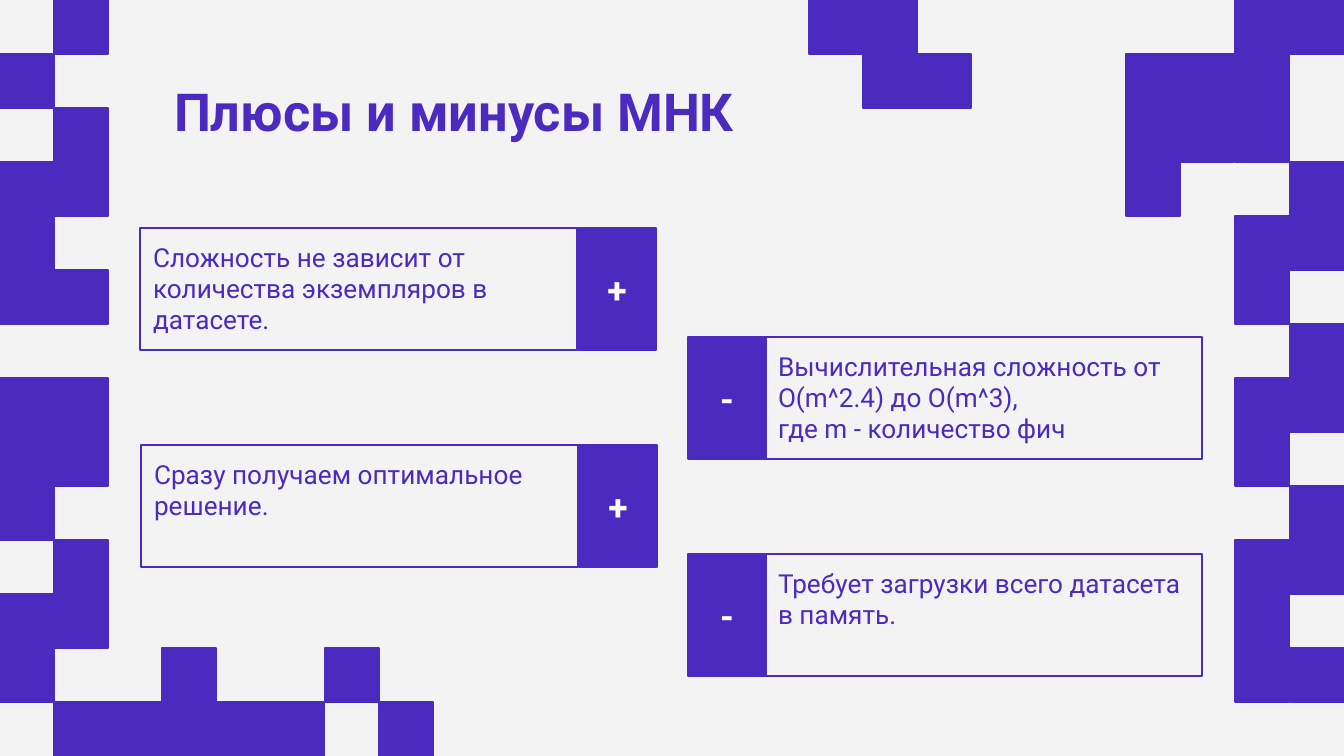
from dataclasses import dataclass

import pptx
import pptx.dml.color
import pptx.enum.shapes
import pptx.enum.text
import pptx.util

EMU_PER_PX = 914400 / 134.4
PURPLE = pptx.dml.color.RGBColor(0x4A, 0x2A, 0xBF)
WHITE = pptx.dml.color.RGBColor(0xFF, 0xFF, 0xFF)
PAPER = pptx.dml.color.RGBColor(0xF3, 0xF3, 0xF3)
FONT = "Roboto"
INSET = 13
TILE = 54
CARD_W, SIGN_W, CARD_H = 437, 78, 122


@dataclass
class Mosaic:
    x: int
    pitch: float
    rows: list[str]


@dataclass
class Card:
    text_x: int
    sign_x: int
    y: int
    sign: str
    lines: list[str]


MOSAICS = [
    Mosaic(0, 54.1, [
        ".#", "#.", ".#", "##", "#.", "##", "..", "##", "##", "#.", ".#", "##",
        "#..#..#.", ".#####.#",
    ]),
    Mosaic(809, 54, ["##.", ".##"]),
    Mosaic(1126, 54.5, [
        "..##", "###.", "###.", "#..#", "..##", "..#.", "...#", "..##", "..#.",
        "...#", "..##", "..#.", "..##",
    ]),
]

CARDS = [
    Card(140, 578, 228, "+",
         ["Сложность не зависит от количества экземпляров в датасете."]),
    Card(141, 579, 445, "+", ["Сразу получаем оптимальное решение."]),
    Card(765, 688, 337, "-",
         ["Вычислительная сложность от O(m^2.4) до O(m^3),", "где m - количество фич"]),
    Card(765, 688, 554, "-", ["Требует загрузки всего датасета в память."]),
]


def px(n: float) -> pptx.util.Emu:
    return pptx.util.Emu(round(n * EMU_PER_PX))


def add_box(s, x: int, y: int, w: int, h: int, filled: bool):
    sp = s.shapes.add_shape(
        pptx.enum.shapes.MSO_SHAPE.RECTANGLE, px(x), px(y), px(w), px(h))
    sp.shadow.inherit = False
    if filled:
        sp.fill.solid()
        sp.fill.fore_color.rgb = PURPLE
    else:
        sp.fill.background()
    sp.line.color.rgb = PURPLE
    sp.line.width = pptx.util.Pt(0.75)
    return sp


def write(sp, lines: list[str], size: int, color, bold: bool = False,
          align=pptx.enum.text.PP_ALIGN.LEFT,
          anchor=pptx.enum.text.MSO_ANCHOR.TOP) -> None:
    tf = sp.text_frame
    tf.word_wrap = True
    tf.vertical_anchor = anchor
    tf.margin_left = tf.margin_right = tf.margin_top = tf.margin_bottom = px(INSET)
    for i, line in enumerate(lines):
        p = tf.add_paragraph() if i else tf.paragraphs[0]
        p.alignment = align
        r = p.add_run()
        r.text = line
        r.font.name = FONT
        r.font.size = pptx.util.Pt(size)
        r.font.bold = bold
        r.font.color.rgb = color


def draw_mosaic(s, mosaic: Mosaic) -> None:
    """Draw one tile for every # in the rows, which start at the slide's top."""
    for row, marks in enumerate(mosaic.rows):
        for col, mark in enumerate(marks):
            if mark == "#":
                x = mosaic.x + round(col * mosaic.pitch)
                add_box(s, x, row * TILE, TILE, TILE, filled=True)


def draw_card(s, card: Card) -> None:
    text_box = add_box(s, card.text_x, card.y, CARD_W, CARD_H, filled=False)
    write(text_box, card.lines, 14, PURPLE)
    sign_box = add_box(s, card.sign_x, card.y, SIGN_W, CARD_H, filled=True)
    write(sign_box, [card.sign], 19, WHITE, bold=True,
          align=pptx.enum.text.PP_ALIGN.CENTER,
          anchor=pptx.enum.text.MSO_ANCHOR.MIDDLE)


def main() -> None:
    prs = pptx.Presentation()
    prs.slide_width, prs.slide_height = px(1344), px(756)
    s = prs.slides.add_slide(prs.slide_layouts[6])
    s.background.fill.solid()
    s.background.fill.fore_color.rgb = PAPER

    for mosaic in MOSAICS:
        draw_mosaic(s, mosaic)
    title = s.shapes.add_textbox(px(161), px(66), px(1020), px(85))
    write(title, ["Плюсы и минусы МНК"], 28, PURPLE, bold=True)
    for card in CARDS:
        draw_card(s, card)
    prs.save("out.pptx")


if __name__ == "__main__":
    main()
